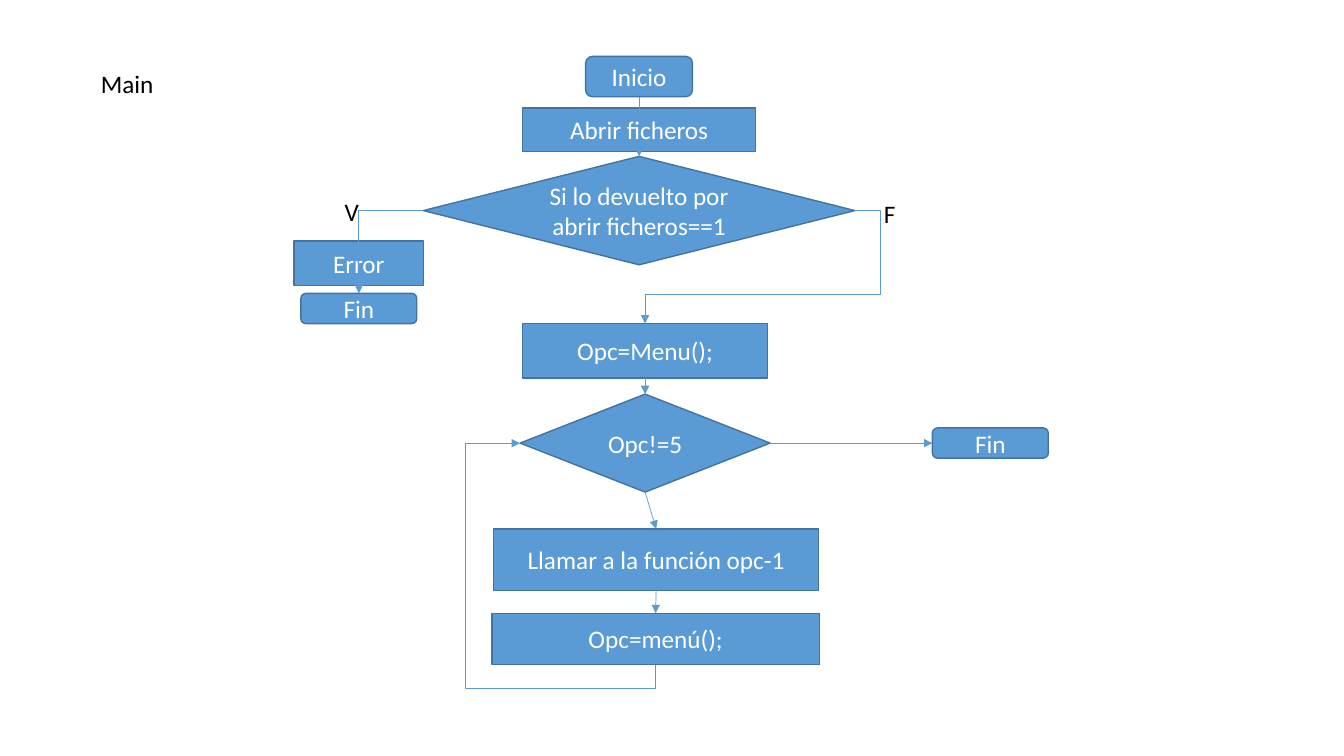
"""Draw the flow chart of the main program."""
import dataclasses
import typing

import lxml.etree
import pptx
import pptx.dml.color
import pptx.enum.shapes
import pptx.enum.text
import pptx.oxml.ns
import pptx.presentation
import pptx.slide
import pptx.text.text
import pptx.util

Pt = pptx.util.Pt
qn = pptx.oxml.ns.qn
Kind = pptx.enum.shapes.MSO_SHAPE
Link = pptx.enum.shapes.MSO_CONNECTOR
Align = pptx.enum.text.PP_ALIGN
Anchor = pptx.enum.text.MSO_ANCHOR
Fit = pptx.enum.text.MSO_AUTO_SIZE

FILL, EDGE, WHITE, BLACK = "5B9BD5", "43739E", "FFFFFF", "000000"
UP, LEFT, DOWN, RIGHT = range(4)


@dataclasses.dataclass(frozen=True)
class Step:
    key: str
    text: str
    kind: Kind
    mid: float
    top: float
    width: float
    height: float


@dataclasses.dataclass(frozen=True)
class Bend:
    form: str
    frame: tuple[float, float, float, float]
    turn: int
    flip: str
    ratios: tuple[float, ...] = ()


@dataclasses.dataclass(frozen=True)
class Arrow:
    start: str
    end: str
    exit: int = DOWN
    entry: int = UP
    bend: typing.Optional[Bend] = None


@dataclasses.dataclass(frozen=True)
class Label:
    text: str
    left: float
    top: float
    width: float


STEPS = (
    Step("start", "Inicio", Kind.ROUNDED_RECTANGLE, 456.5, 40.3, 76.3, 28.8),
    Step("open", "Abrir ficheros", Kind.RECTANGLE, 456.5, 77.2, 166.3, 31),
    Step("check", "Si lo devuelto por abrir ficheros==1", Kind.DIAMOND,
         456.5, 111.7, 308.2, 77.4),
    Step("error", "Error", Kind.RECTANGLE, 256.3, 172.2, 92.5, 31.9),
    Step("abort", "Fin", Kind.ROUNDED_RECTANGLE, 256.3, 209.6, 82.8, 21.6),
    Step("menu", "Opc=Menu();", Kind.RECTANGLE, 460.8, 231.1, 175, 38.9),
    Step("loop", "Opc!=5", Kind.DIAMOND, 460.8, 281.5, 178.6, 70),
    Step("end", "Fin", Kind.ROUNDED_RECTANGLE, 707.4, 305.7, 82.8, 21.6),
    Step("call", "Llamar a la función opc-1", Kind.RECTANGLE,
         468.7, 377.8, 232, 44),
    Step("again", "Opc=menú();", Kind.RECTANGLE, 468.3, 438, 234, 36.6),
)

ARROWS = (
    Arrow("start", "check"),
    Arrow("check", "abort", LEFT, UP,
          Bend("bentConnector2", (256.3, 150.4, 46.1, 59.2), 180, "flipV")),
    Arrow("check", "menu", RIGHT, UP,
          Bend("bentConnector4", (460.8, 150.4, 149.8, 80.7), 0, "flipH",
               (-0.12, 0.74))),
    Arrow("menu", "loop"),
    Arrow("loop", "end", RIGHT, LEFT),
    Arrow("loop", "call"),
    Arrow("call", "again"),
    Arrow("again", "loop", DOWN, LEFT,
          Bend("bentConnector4", (340.8, 347.2, 158.1, 96.8), 90, "flipH",
               (-0.11, 1.4))),
)

LABELS = (Label("V", 239, 136.8, 25.2), Label("F", 624.2, 138.2, 23))


def hue(code: str) -> pptx.dml.color.RGBColor:
    """Turn a hex string into a colour."""
    return pptx.dml.color.RGBColor.from_string(code)


def place(shape, left: float, top: float, width: float, height: float) -> None:
    """Set the frame of a shape in points."""
    shape.left, shape.top = Pt(left), Pt(top)
    shape.width, shape.height = Pt(width), Pt(height)


def write(frame: pptx.text.text.TextFrame, text: str, tint: str,
          align: Align, anchor: Anchor, wrap: bool) -> None:
    """Fill a text frame with one paragraph."""
    frame.text = text
    frame.word_wrap = wrap
    frame.vertical_anchor = anchor
    para = frame.paragraphs[0]
    para.alignment = align
    para.font.name, para.font.size = "Calibri", Pt(18)
    para.font.color.rgb = hue(tint)


def add_step(slide: pptx.slide.Slide, step: Step):
    """Draw one box of the chart."""
    shape = slide.shapes.add_shape(
        step.kind, Pt(step.mid - step.width / 2), Pt(step.top),
        Pt(step.width), Pt(step.height))
    shape.shadow.inherit = False
    shape.fill.solid()
    shape.fill.fore_color.rgb = hue(FILL)
    shape.line.color.rgb = hue(EDGE)
    shape.line.width = Pt(1)
    write(shape.text_frame, step.text, WHITE, Align.CENTER, Anchor.MIDDLE, True)
    return shape


def shape_bend(line, bend: Bend) -> None:
    """Give a connector its elbow form, frame and turns."""
    place(line, *bend.frame)
    props = line._element.spPr
    xfrm = props.find(qn("a:xfrm"))
    for name in ("flipH", "flipV"):
        xfrm.set(name, str(int(name == bend.flip)))
    xfrm.set("rot", str(bend.turn * 60000))
    geom = props.find(qn("a:prstGeom"))
    geom.set("prst", bend.form)
    for rank, ratio in enumerate(bend.ratios, 1):
        lxml.etree.SubElement(geom.find(qn("a:avLst")), qn("a:gd"),
                              name=f"adj{rank}",
                              fmla=f"val {round(ratio * 100000)}")


def add_arrow(slide: pptx.slide.Slide, arrow: Arrow, boxes: dict) -> None:
    """Join two boxes with an arrow."""
    form = Link.ELBOW if arrow.bend else Link.STRAIGHT
    line = slide.shapes.add_connector(form, 0, 0, 0, 0)
    line.begin_connect(boxes[arrow.start], arrow.exit)
    line.end_connect(boxes[arrow.end], arrow.entry)
    if arrow.bend:
        shape_bend(line, arrow.bend)
    line.line.color.rgb = hue(FILL)
    line.line.width = Pt(0.5)
    props = line._element.spPr
    lxml.etree.SubElement(props.find(qn("a:ln")), qn("a:tailEnd"),
                          type="triangle")
    lxml.etree.SubElement(props, qn("a:effectLst"))


def add_label(slide: pptx.slide.Slide, label: Label) -> None:
    """Write the name of a branch."""
    box = slide.shapes.add_textbox(Pt(label.left), Pt(label.top),
                                   Pt(label.width), Pt(29))
    write(box.text_frame, label.text, BLACK, Align.LEFT, Anchor.TOP, False)
    box.text_frame.auto_size = Fit.SHAPE_TO_FIT_TEXT


def main() -> None:
    """Build and save the slide."""
    deck = pptx.Presentation()
    deck.slide_width, deck.slide_height = Pt(960), Pt(540)
    slide = deck.slides.add_slide(deck.slide_layouts[5])
    title = slide.shapes.title
    place(title, 64.8, 45.4, 52.6, 29)
    write(title.text_frame, "Main", BLACK, Align.LEFT, Anchor.TOP, False)
    title.text_frame.auto_size = Fit.SHAPE_TO_FIT_TEXT
    boxes = {step.key: add_step(slide, step) for step in STEPS}
    for arrow in ARROWS:
        add_arrow(slide, arrow, boxes)
    for label in LABELS:
        add_label(slide, label)
    deck.save("out.pptx")


if __name__ == "__main__":
    main()
